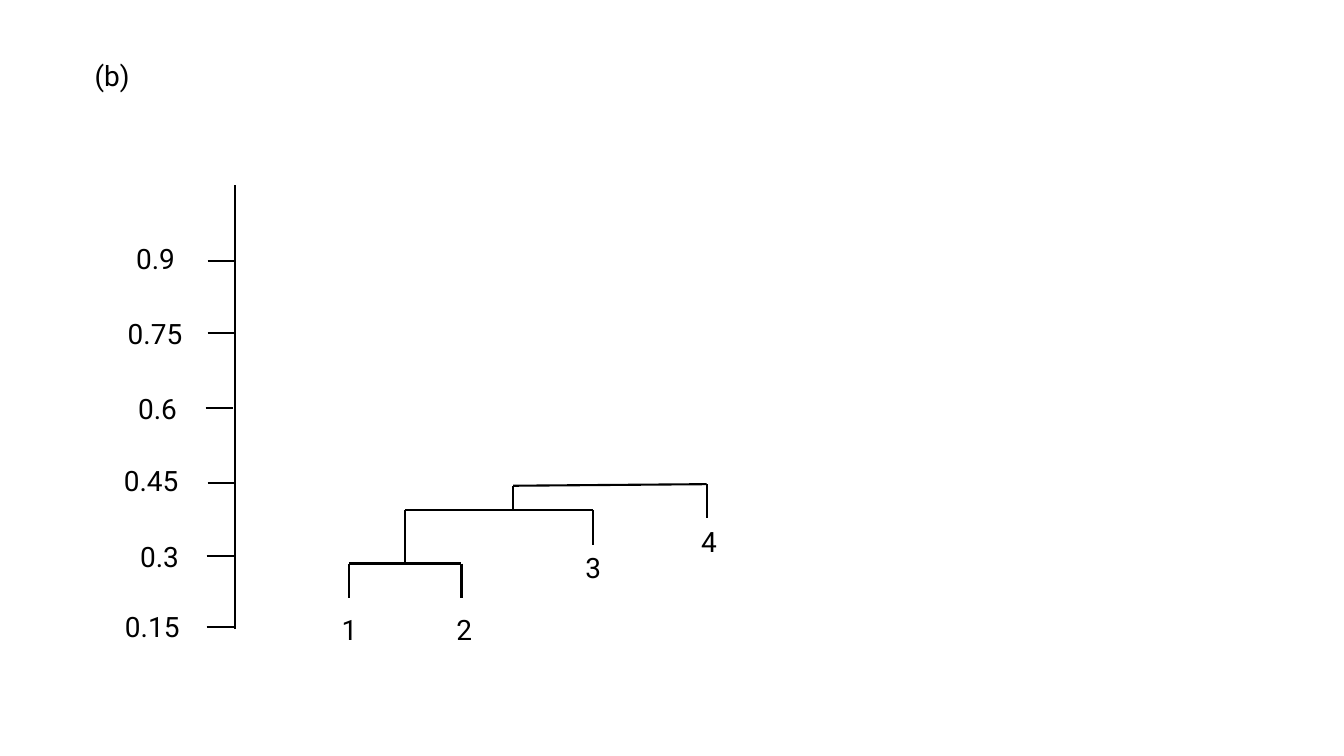
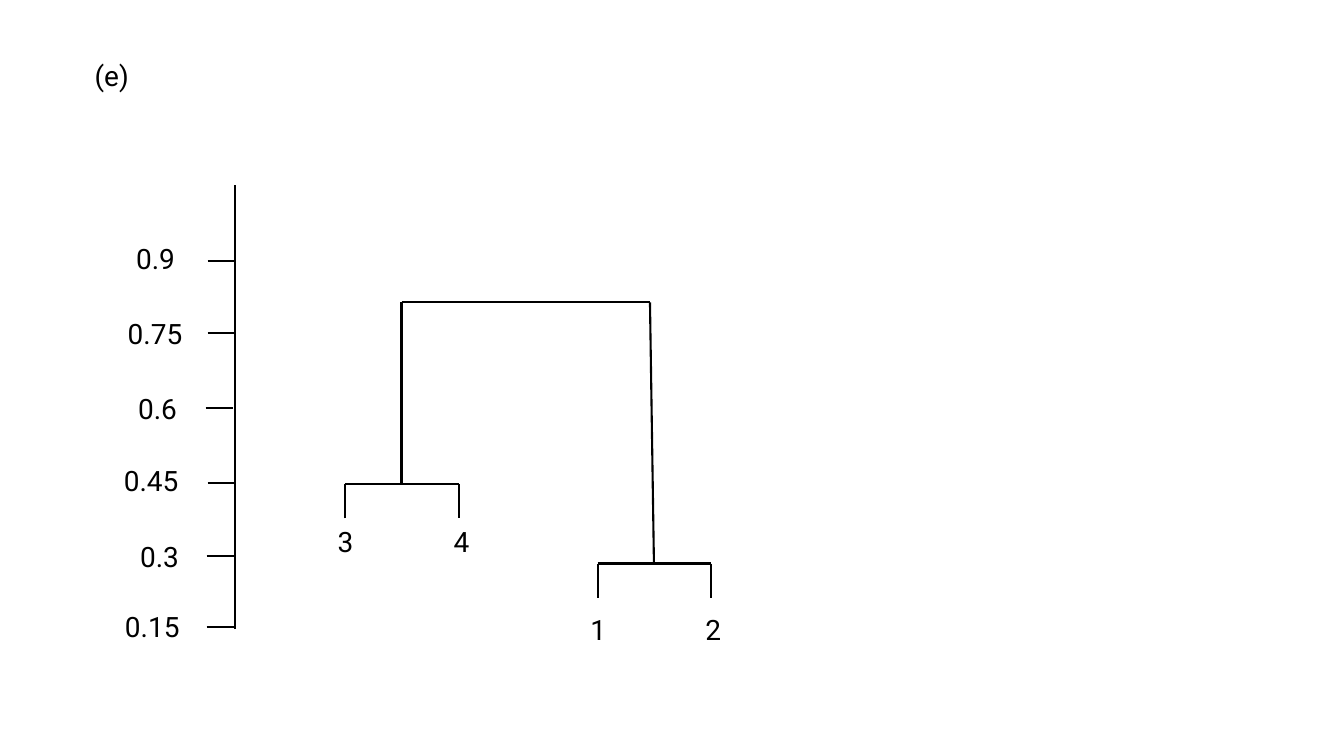
"""Build two slides that each show a dendrogram beside the same distance axis."""
import itertools

import lxml.etree
import pptx
import pptx.dml.color
import pptx.enum.shapes
import pptx.enum.text
import pptx.oxml.ns
import pptx.util

Cm = pptx.util.Cm
COLORS = {"ink": "000000"}
FONT = "Roboto"
TEXT_SIZE = 20
LINE_WIDTH = 1.5
TEXT_HEIGHT = 1.12
AXIS_X, AXIS_TOP, AXIS_BOTTOM = 5.92, 4.67, 15.85
TICK_LENGTH = 0.69
LABEL_WIDTH, LEAF_WIDTH = 2.1, 0.89

# label, label left, label top, tick left, tick height on the slide
TICKS = [
    ("0.9", 3.18, 5.97, 5.23, 6.58),
    ("0.75", 2.97, 7.85, 5.23, 8.38),
    ("0.6", 3.23, 9.73, 5.18, 10.29),
    ("0.45", 2.87, 11.56, 5.23, 12.17),
    ("0.3", 3.28, 13.46, 5.21, 14.02),
    ("0.15", 2.9, 15.24, 5.21, 15.8),
]

DENDROGRAMS = [
    {
        "title": "(b)",
        "leaves": [("1", 8.36, 15.32), ("2", 11.25, 15.32), ("3", 14.5, 13.74), ("4", 17.42, 13.08)],
        "brackets": [
            [(8.79, 15.06), (8.79, 14.2), (11.63, 14.2), (11.63, 15.06)],
            [(10.21, 14.2), (10.21, 12.85), (14.94, 12.85), (14.94, 13.74)],
            [(12.93, 12.85), (12.93, 12.24), (17.81, 12.2), (17.81, 13.06)],
        ],
    },
    {
        "title": "(e)",
        "leaves": [("1", 14.63, 15.32), ("2", 17.53, 15.32), ("3", 8.26, 13.08), ("4", 11.18, 13.08)],
        "brackets": [
            [(15.06, 15.06), (15.06, 14.2), (17.91, 14.2), (17.91, 15.06)],
            [(8.69, 13.06), (8.69, 12.19), (11.56, 12.19), (11.56, 13.06)],
            [(10.12, 12.19), (10.12, 7.62), (16.38, 7.62), (16.48, 14.2)],
        ],
    },
]


def write_text(shape, text, left, top, width):
    """Place a shape and give it one line of text."""
    shape.left, shape.top = Cm(left), Cm(top)
    shape.width, shape.height = Cm(width), Cm(TEXT_HEIGHT)
    frame = shape.text_frame
    frame.word_wrap = True
    frame.auto_size = pptx.enum.text.MSO_AUTO_SIZE.NONE
    frame.vertical_anchor = pptx.enum.text.MSO_ANCHOR.TOP
    paragraph = frame.paragraphs[0]
    paragraph.alignment = pptx.enum.text.PP_ALIGN.LEFT
    paragraph.line_spacing = 1.0
    run = paragraph.add_run()
    run.text = text
    run.font.name = FONT
    run.font.size = pptx.util.Pt(TEXT_SIZE)
    run.font.color.rgb = pptx.dml.color.RGBColor.from_string(COLORS["ink"])


def draw_line(slide, start, end):
    """Draw a straight line between two points."""
    line = slide.shapes.add_connector(
        pptx.enum.shapes.MSO_CONNECTOR.STRAIGHT, *(Cm(value) for value in (*start, *end))
    )
    line.line.width = pptx.util.Pt(LINE_WIDTH)
    line.line.color.rgb = pptx.dml.color.RGBColor.from_string(COLORS["ink"])
    properties = line._element.find(pptx.oxml.ns.qn("p:spPr"))
    lxml.etree.SubElement(properties, pptx.oxml.ns.qn("a:effectLst"))


presentation = pptx.Presentation()
presentation.slide_width, presentation.slide_height = Cm(33.87), Cm(19.05)
title_only = presentation.slide_layouts.get_by_name("Title Only")

for dendrogram in DENDROGRAMS:
    slide = presentation.slides.add_slide(title_only)
    write_text(slide.shapes.title, dendrogram["title"], 2.13, 1.35, 1.45)

    draw_line(slide, (AXIS_X, AXIS_BOTTOM), (AXIS_X, AXIS_TOP))
    for label, left, top, tick_left, tick_y in TICKS:
        write_text(slide.shapes.add_textbox(0, 0, 0, 0), label, left, top, LABEL_WIDTH)
        draw_line(slide, (tick_left, tick_y), (tick_left + TICK_LENGTH, tick_y))

    for bracket in dendrogram["brackets"]:
        for start, end in itertools.pairwise(bracket):
            draw_line(slide, start, end)
    for label, left, top in dendrogram["leaves"]:
        write_text(slide.shapes.add_textbox(0, 0, 0, 0), label, left, top, LEAF_WIDTH)

presentation.save("out.pptx")
